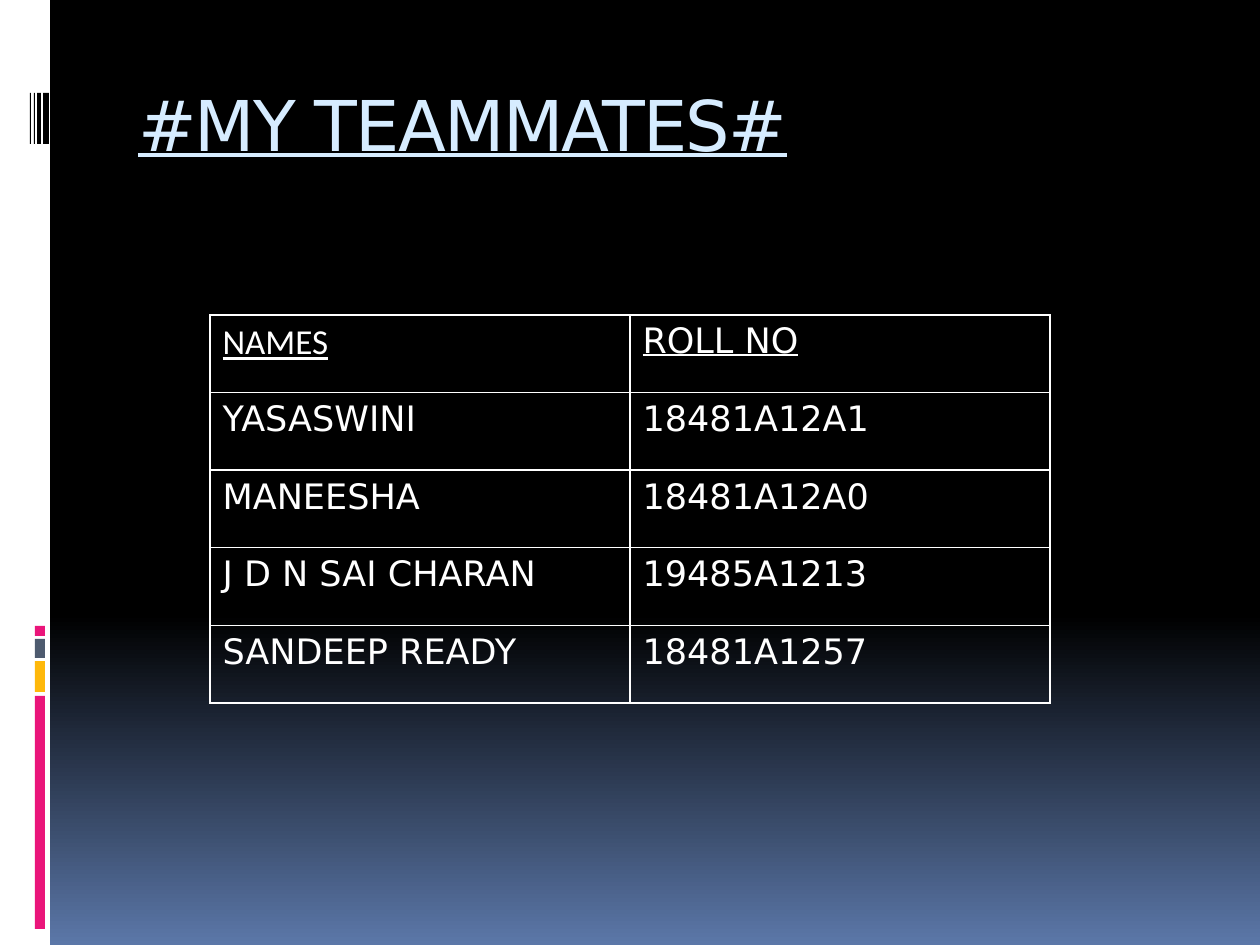
"""Build the teammates slide with its side ornaments and roll number table."""
from typing import NamedTuple

from lxml import etree
from pptx import Presentation, util as u
from pptx.dml.color import RGBColor
from pptx.enum import shapes, text
from pptx.oxml import ns

SCALE = u.Inches(1) / 126
SANS = "DejaVu Sans"
WHITE, BLACK, PINK = "FFFFFF", "000000", "EA157A"


class Bar(NamedTuple):
    left: int
    top: int
    width: int
    height: int
    fill: str


BARS = [
    Bar(0, 0, 50, 945, WHITE),
    *(Bar(35, top, 10, tall, fill) for top, tall, fill in [
        (696, 233, PINK), (661, 31, "FEB80A"),
        (639, 19, "4E5B6F"), (626, 10, PINK)]),
    *(Bar(left, 93, wide, 51, BLACK) for left, wide in [
        (43, 6), (37, 4), (34, 1), (30, 1)]),
]
ROWS = [
    ("NAMES", "ROLL NO"),
    ("YASASWINI", "18481A12A1"),
    ("MANEESHA", "18481A12A0"),
    ("J D N SAI CHARAN", "19485A1213"),
    ("SANDEEP READY", "18481A1257"),
]


def px(count: int) -> u.Emu:
    """Turn picture pixels into EMU."""
    return u.Emu(round(count * SCALE))


def rgb(code: str) -> RGBColor:
    """Turn a hex string into a colour."""
    return RGBColor.from_string(code)


def write(frame, words: str, size: int = 20, font: str = SANS,
          color: str = WHITE, under: bool = False, gap: int = 0) -> None:
    """Put formatted text into a text frame."""
    para = frame.paragraphs[0]
    para.alignment = text.PP_ALIGN.LEFT
    run = para.add_run()
    run.text = words
    run.font.size = u.Pt(size)
    run.font.name = font
    run.font.bold = False
    run.font.underline = under
    run.font.color.rgb = rgb(color)
    if gap:
        run._r.get_or_add_rPr().set("spc", str(gap * 100))


def draw(slide, bar: Bar) -> None:
    """Draw one plain bar."""
    shape = slide.shapes.add_shape(
        shapes.MSO_SHAPE.RECTANGLE, *map(px, bar[:4]))
    shape.shadow.inherit = False
    shape.fill.solid()
    shape.fill.fore_color.rgb = rgb(bar.fill)
    shape.line.fill.background()


def edge(cell, color: str = WHITE, width: int = 1) -> None:
    """Draw the four borders of a cell."""
    props = cell._tc.get_or_add_tcPr()
    for spot, side in enumerate(("lnL", "lnR", "lnT", "lnB")):
        line = etree.Element(ns.qn(f"a:{side}"), w=str(u.Pt(width)))
        fill = etree.SubElement(line, ns.qn("a:solidFill"))
        etree.SubElement(fill, ns.qn("a:srgbClr"), val=color)
        props.insert(spot, line)


def paint(slide) -> None:
    """Fill the background with a downward gradient."""
    fill = slide.background.fill
    fill.gradient()
    fill.gradient_angle = 270
    for stop, (place, color) in zip(
            fill.gradient_stops, [(0.65, BLACK), (1, "5B77A8")]):
        stop.position = place
        stop.color.rgb = rgb(color)


def head(slide) -> None:
    """Place and format the title."""
    title = slide.shapes.title
    title.left, title.top, title.width, title.height = map(
        px, (126, 70, 1071, 126))
    frame = title.text_frame
    frame.word_wrap = True
    frame.auto_size = text.MSO_AUTO_SIZE.NONE
    frame.vertical_anchor = text.MSO_ANCHOR.TOP
    frame.margin_left = frame.margin_top = px(12)
    write(frame, "#MY TEAMMATES#", size=40, color="D6ECFF",
          under=True, gap=-1)


def roll(slide) -> None:
    """Add the table of names and roll numbers."""
    table = slide.shapes.add_table(
        len(ROWS), len(ROWS[0]), *map(px, (210, 315, 840, 388))).table
    table.first_row = table.horz_banding = False
    for row, items in enumerate(ROWS):
        for col, words in enumerate(items):
            cell = table.cell(row, col)
            cell.fill.background()
            edge(cell)
            font = "Calibri" if row == col == 0 else SANS
            write(cell.text_frame, words, font=font, under=row == 0)


def main() -> None:
    """Build and save the slide."""
    deck = Presentation()
    deck.slide_width, deck.slide_height = px(1260), px(945)
    slide = deck.slides.add_slide(deck.slide_layouts.get_by_name("Title Only"))
    paint(slide)
    for bar in BARS:
        draw(slide, bar)
    head(slide)
    roll(slide)
    deck.save("out.pptx")


main()
